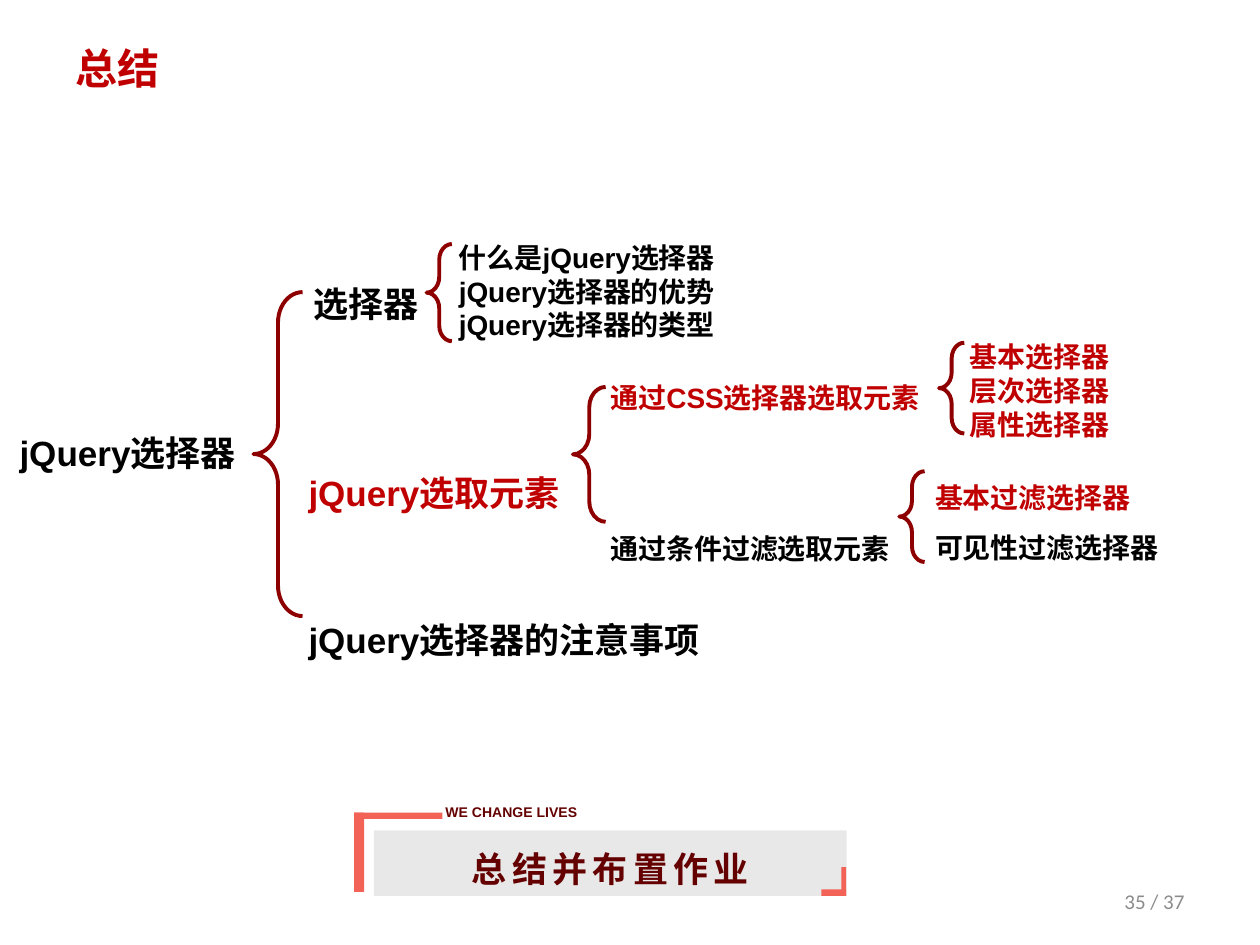
"""Build the jQuery selector summary slide."""
from pptx import Presentation
from pptx.dml.color import RGBColor
from pptx.enum.shapes import MSO_SHAPE
from pptx.enum.text import MSO_ANCHOR, MSO_AUTO_SIZE, PP_ALIGN
from pptx.oxml.ns import qn
from pptx.util import Cm, Pt

RECT, BRACE = MSO_SHAPE.RECTANGLE, MSO_SHAPE.LEFT_BRACE
LEFT, MID, RIGHT = PP_ALIGN.LEFT, PP_ALIGN.CENTER, PP_ALIGN.RIGHT
CENTRE, FIXED = MSO_ANCHOR.MIDDLE, MSO_AUTO_SIZE.NONE

RED = RGBColor(0xC0, 0x00, 0x00)
BLACK = RGBColor(0x00, 0x00, 0x00)
MAROON = RGBColor(0x8E, 0x00, 0x00)
WINE = RGBColor(0x64, 0x00, 0x00)
CORAL = RGBColor(0xF2, 0x62, 0x57)
PALE = RGBColor(0xE8, 0xE8, 0xE8)
GREY = RGBColor(0x8C, 0x8C, 0x8C)
SANS, HAN, PLAIN = "Arial", "Noto Sans CJK SC", "Calibri"

TITLE = "总结"
ROOT = ((0.05, 8.57, 5.05, 1.12), [("jQuery选择器", BLACK, 1)])
TOPICS = ((5.97, 5.57, 8.94, 7.95), [
    ("选择器", BLACK, 1),
    ("jQuery选取元素", RED, 4.5),
    ("jQuery选择器的注意事项", BLACK, 3.5),
])
LEAVES = [
    ((19.3, 6.73, 4.29, 2.31), [
        ("基本选择器", RED, 1),
        ("层次选择器", RED, 1),
        ("属性选择器", RED, 1),
    ]),
    ((12.06, 7.54, 7.02, 4.01), [
        ("通过CSS选择器选取元素", RED, 1),
        ("通过条件过滤选取元素", BLACK, 4.5),
    ]),
    ((9, 4.73, 7.01, 2.31), [
        ("什么是jQuery选择器", BLACK, 1),
        ("jQuery选择器的优势", BLACK, 1),
        ("jQuery选择器的类型", BLACK, 1),
    ]),
    ((18.6, 9.22, 5.89, 2.31), [
        ("基本过滤选择器", RED, 1.5),
        ("可见性过滤选择器", BLACK, 1.5),
    ]),
]
BRACES = [
    (11.55, 7.8, 0.66, 2.72),
    (5.11, 5.89, 0.99, 6.53),
    (8.6, 4.92, 0.51, 1.96),
    (18.93, 6.91, 0.51, 1.83),
    (18.13, 9.5, 0.51, 1.83),
]
BANNER = ((7.54, 16.74, 9.53, 1.32), [("总结并布置作业", WINE, 1)])
EDGES = [
    (7.14, 16.38, 1.78, 0.13),
    (7.14, 16.38, 0.2, 1.6),
    (16.96, 17.48, 0.1, 0.58),
    (16.56, 17.93, 0.5, 0.13),
]
MOTTO = ((8.73, 16.08, 3.35, 0.61), [("WE CHANGE LIVES", WINE, 1)])
PAGE = ((18.21, 17.65, 5.92, 1.02), [("35 / 37", GREY, 1)])


def write(frame, lines, size, face=SANS, align=LEFT, bold=True):
    frame.text = "\n".join(line[0] for line in lines)
    for para, (_, color, gap) in zip(frame.paragraphs, lines):
        para.alignment = align
        para.line_spacing = float(gap)
        for run in para.runs:
            font = run.font
            font.size, font.bold, font.name = Pt(size), bold, face
            font.color.rgb = color
            if face == HAN:
                east = font._element.makeelement(qn("a:ea"), {"typeface": HAN})
                font._element.find(qn("a:latin")).addnext(east)


def add_text(shapes, block, size, wrap=True, **style):
    box, lines = block
    frame = shapes.add_textbox(*map(Cm, box)).text_frame
    frame.word_wrap = wrap
    write(frame, lines, size, **style)
    return frame


def add_rect(shapes, box, color):
    rect = shapes.add_shape(RECT, *map(Cm, box))
    rect.shadow.inherit = False
    rect.fill.solid()
    rect.fill.fore_color.rgb = color
    rect.line.fill.background()
    return rect


def add_brace(shapes, box):
    brace = shapes.add_shape(BRACE, *map(Cm, box))
    brace.shadow.inherit = False
    brace.adjustments[0] = 0.62
    brace.fill.background()
    brace.line.color.rgb = MAROON
    brace.line.width = Pt(2.25)


def add_title(slide):
    title = slide.shapes.title
    title.left, title.top = Cm(1.27), Cm(0.76)
    title.width, title.height = Cm(22.86), Cm(1.22)
    frame = title.text_frame
    frame.auto_size = FIXED
    frame.vertical_anchor = CENTRE
    write(frame, [(TITLE, RED, 1)], 24, face=HAN)


def add_tree(shapes):
    topics = add_text(shapes, TOPICS, 20)
    topics.paragraphs[0]._p.get_or_add_pPr().set("marL", str(Cm(0.1)))
    add_text(shapes, ROOT, 20, align=MID)
    for leaf in LEAVES:
        add_text(shapes, leaf, 16)
    for box in BRACES:
        add_brace(shapes, box)


def add_banner(shapes):
    box, lines = BANNER
    frame = add_rect(shapes, box, PALE).text_frame
    frame.margin_top = Cm(0.33)
    write(frame, lines, 20, face=HAN, align=MID)
    frame.paragraphs[0].runs[0].font._element.set("spc", "300")
    for edge in EDGES:
        add_rect(shapes, edge, CORAL)
    add_text(shapes, MOTTO, 8, wrap=False)


def main():
    deck = Presentation()
    deck.slide_width, deck.slide_height = Cm(25.4), Cm(19.05)
    slide = deck.slides.add_slide(deck.slide_layouts[5])
    add_title(slide)
    add_tree(slide.shapes)
    add_banner(slide.shapes.add_group_shape().shapes)
    page = add_text(slide.shapes, PAGE, 12, face=PLAIN, align=RIGHT, bold=False)
    page.vertical_anchor = CENTRE
    deck.save("out.pptx")


if __name__ == "__main__":
    main()
